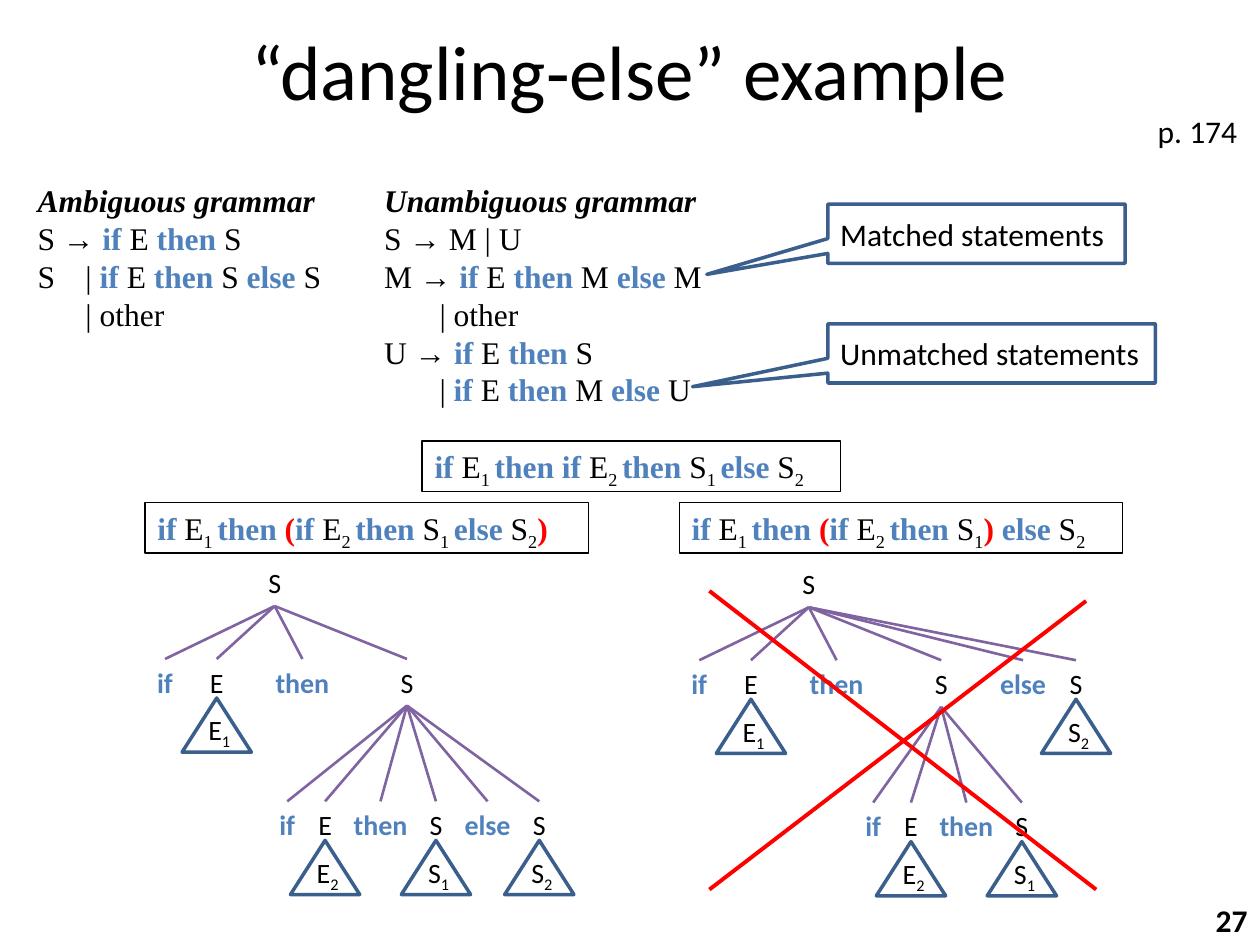
"""Build the "dangling-else" slide: two grammars, their readings and parse trees."""
from itertools import groupby

from lxml import etree
from pptx import Presentation
from pptx import util as u
from pptx.dml.color import RGBColor
from pptx.enum import shapes, text
from pptx.oxml.ns import qn

COLORS = {"ink": "000000", "keyword": "4F81BD", "paren": "FF0000",
          "edge": "8064A2", "outline": "3A5F8C", "cross": "FF0000"}
SANS, SERIF = "Calibri", "Times New Roman"
KEYWORDS = ("if", "then", "else")

TITLE = "“dangling-else” example"
PAGE_REF, SLIDE_NUMBER = "p. 174", "27"
GRAMMARS = [
    ((0.2, 1.39, 2.52, 1.31), 0.38, "Ambiguous grammar",
     ["S → if E then S", "S\t| if E then S else S", "\t| other"]),
    ((2.95, 1.39, 3.54, 1.92), 0.44, "Unambiguous grammar",
     ["S → M | U", "M → if E then M else M", "\t| other",
      "U → if E then S", "\t| if E then M else U"]),
]
STATEMENTS = [
    ((1.15, 3.99, 3.52, 0.4), "if E_1 then (if E_2 then S_1 else S_2)"),
    ((5.39, 3.99, 3.52, 0.4), "if E_1 then (if E_2 then S_1) else S_2"),
    ((3.35, 3.5, 3.32, 0.4), "if E_1 then if E_2 then S_1 else S_2"),
]
CALLOUTS = [
    ((6.57, 1.62, 2.36, 0.47), (-0.907, 0.687), "Matched statements"),
    ((6.57, 2.57, 2.6, 0.47), (-0.913, 0.562), "Unmatched statements"),
]
# Each node: label, offset from its parent, leaf under its triangle, children.
INNER = [("if", -0.95, "", []), ("E", -0.65, "E_2", []), ("then", -0.21, "", []),
         ("S", 0.23, "S_1", []), ("else", 0.64, "", []), ("S", 1.05, "S_2", [])]
INNER_SHORT = [(label, offset + 0.41, leaf, kids) for label, offset, leaf, kids in INNER[:4]]
HEAD = [("if", -0.87, "", []), ("E", -0.46, "E_1", []), ("then", 0.22, "", [])]
TREES = [
    (2.18, 4.44, HEAD + [("S", 1.05, "", INNER)]),
    (6.42, 4.45, HEAD + [("S", 1.05, "", INNER_SHORT),
                         ("else", 1.7, "", []), ("S", 2.12, "S_2", [])]),
]
LEVEL_DROPS = (0.79, 1.13)
LABEL_WIDTHS = {"if": 0.33, "then": 0.63, "else": 0.57}
LABEL_HEIGHT, TRIANGLE = 0.37, (0.55, 0.43)
CROSS = [((5.63, 7.06), (8.62, 4.77)), ((8.7, 7.06), (5.63, 4.69))]

prs = Presentation()
prs.slide_width, prs.slide_height = u.Inches(10), u.Inches(7.5)
slide = prs.slides.add_slide(prs.slide_layouts[6])


def rgb(name):
    return RGBColor.from_string(COLORS[name])


def inches(values):
    return [u.Inches(value) for value in values]


def token_style(token):
    word = token.strip()
    if word in KEYWORDS:
        return "keyword", True, False
    if word in ("(", ")"):
        return "paren", True, False
    return "ink", False, token.startswith("_")


def write(para, content, size=18, face=SANS, align=text.PP_ALIGN.LEFT):
    para.alignment = align
    para.font.size, para.font.name = u.Pt(size), face
    for old, new in ((" ", " ~"), ("(", "~(~"), (")", "~)~"), ("_", "~_")):
        content = content.replace(old, new)
    for (color, bold, sub), tokens in groupby(filter(None, content.split("~")), token_style):
        run = para.add_run()
        run.text = "".join(tokens).lstrip("_")
        run.font.color.rgb, run.font.bold = rgb(color), bold
        if sub:
            run.font._element.set("baseline", "-25000")


def add_text(box, content, wrap=True, anchor=text.MSO_ANCHOR.TOP, **style):
    area = slide.shapes.add_textbox(*inches(box))
    area.text_frame.word_wrap = wrap
    area.text_frame.vertical_anchor = anchor
    write(area.text_frame.paragraphs[0], content, **style)
    return area


def add_outline(kind, box, color="outline", width=2):
    outline = slide.shapes.add_shape(kind, *inches(box))
    outline.shadow.inherit = False
    outline.fill.background()
    outline.line.color.rgb, outline.line.width = rgb(color), u.Pt(width)
    outline.text_frame.word_wrap = True
    return outline


def add_line(start, end, color, width):
    line = slide.shapes.add_connector(shapes.MSO_CONNECTOR.STRAIGHT, *inches(start + end))
    line.line.color.rgb, line.line.width = rgb(color), u.Pt(width)
    etree.SubElement(line._element.spPr, qn("a:effectLst"))
    return line


def add_label(x, y, label, width):
    return add_text((x - width / 2, y, width, LABEL_HEIGHT), label, wrap=False,
                    size=16, align=text.PP_ALIGN.CENTER)


def add_node(x, y, label, leaf, children, depth=0):
    node = add_label(x, y, label, LABEL_WIDTHS.get(label, 0.31))
    if leaf:
        width, height = TRIANGLE
        add_outline(shapes.MSO_SHAPE.ISOSCELES_TRIANGLE,
                    (x - width / 2, y + 0.31, width, height))
        add_label(x + 0.02, y + 0.38, leaf, 0.39)
    for name, offset, child_leaf, kids in children:
        child_x, child_y = x + offset, y + LEVEL_DROPS[depth]
        child = add_node(child_x, child_y, name, child_leaf, kids, depth + 1)
        edge = add_line((x, y + LABEL_HEIGHT), (child_x, child_y), "edge", 1.5)
        edge.begin_connect(node, 2)
        edge.end_connect(child, 0)
    return node


def add_grammar(box, tab, heading, rules):
    area = add_text(box, heading, face=SERIF)
    first = area.text_frame.paragraphs[0]
    for run in first.runs:
        run.font.bold = run.font.italic = True
    for rule in rules:
        para = area.text_frame.add_paragraph()
        write(para, rule, face=SERIF)
        stops = etree.Element(qn("a:tabLst"))
        etree.SubElement(stops, qn("a:tab"), pos=str(u.Inches(tab)), algn="l")
        para._p.pPr.insert(0, stops)


add_text((0.5, 0.13, 9, 0.85), TITLE, size=44, align=text.PP_ALIGN.CENTER,
         anchor=text.MSO_ANCHOR.MIDDLE)
number = add_text((9.49, 7.1, 0.51, 0.4), SLIDE_NUMBER, align=text.PP_ALIGN.RIGHT)
number.text_frame.paragraphs[0].runs[0].font.bold = True
add_text((9.09, 0.84, 0.84, 0.4), PAGE_REF, wrap=False)
for grammar in GRAMMARS:
    add_grammar(*grammar)
for box, statement in STATEMENTS:
    frame = add_outline(shapes.MSO_SHAPE.RECTANGLE, box, "ink", 0.75).text_frame
    frame.vertical_anchor = text.MSO_ANCHOR.TOP
    write(frame.paragraphs[0], statement, face=SERIF)
for box, tip, caption in CALLOUTS:
    callout = add_outline(shapes.MSO_SHAPE.RECTANGULAR_CALLOUT, box)
    callout.adjustments[0], callout.adjustments[1] = tip
    callout.text_frame.vertical_anchor = text.MSO_ANCHOR.MIDDLE
    write(callout.text_frame.paragraphs[0], caption)
for root_x, root_y, branches in TREES:
    add_node(root_x, root_y, "S", "", branches)
for start, end in CROSS:
    add_line(start, end, "cross", 2.25)

prs.save("out.pptx")
